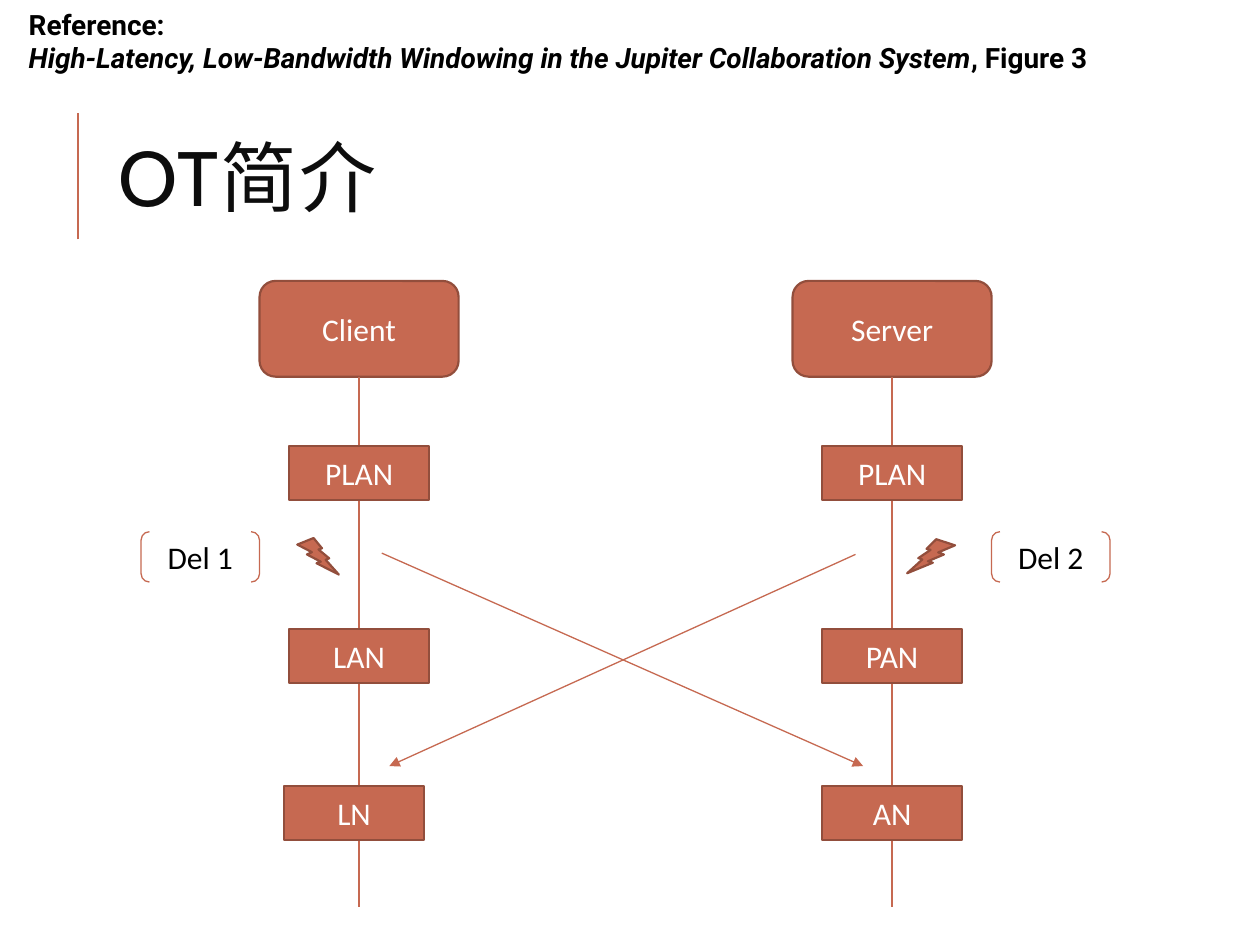
from lxml.etree import SubElement
from pptx import Presentation
from pptx.dml.color import RGBColor
from pptx.enum.shapes import MSO_CONNECTOR, MSO_SHAPE
from pptx.enum.text import MSO_ANCHOR, PP_ALIGN
from pptx.oxml.ns import qn
from pptx.util import Inches, Pt

COLORS = {"accent": "C66951", "edge": "924E3C", "white": "FFFFFF",
          "black": "000000", "title": "0D0D0D"}
LABEL = {"name": "Calibri", "size": Pt(18)}
REFERENCE = {"name": "Roboto", "size": Pt(16), "bold": True}
TITLE = {"name": "Cabin", "size": Pt(44)}

STEP_TOPS = (3.54, 4.99, 6.24)
STEP_WIDTH, STEP_HEIGHT = 1.11, 0.43
HEADER_HEIGHT = 0.76
LIFELINE_END = 7.2


def color(name):
    return RGBColor.from_string(COLORS[name])


def format_font(font, values, color_name):
    for key, value in values.items():
        setattr(font, key, value)
    font.color.rgb = color(color_name)


def add_line(page, start, end, width=0.75, arrow=False):
    points = [Inches(value) for value in (*start, *end)]
    line = page.shapes.add_connector(MSO_CONNECTOR.STRAIGHT, *points)
    line.line.color.rgb = color("accent")
    line.line.width = Pt(width)
    if arrow:
        SubElement(line.line._get_or_add_ln(), qn("a:tailEnd"), type="triangle")
    SubElement(line._element.spPr, qn("a:effectLst"))


def add_figure(page, kind, box, text="", filled=True):
    shape = page.shapes.add_shape(kind, *[Inches(value) for value in box])
    shape.shadow.inherit = False
    if filled:
        shape.fill.solid()
        shape.fill.fore_color.rgb = color("accent")
    else:
        shape.fill.background()
    shape.line.color.rgb = color("edge" if filled else "accent")
    shape.line.width = Pt(1.25 if filled else 0.75)
    if text:
        frame = shape.text_frame
        frame.vertical_anchor = MSO_ANCHOR.MIDDLE
        para = frame.paragraphs[0]
        para.alignment = PP_ALIGN.CENTER
        span = para.add_run()
        span.text = text
        format_font(span.font, LABEL, "white" if filled else "black")
    return shape


def add_title(page, box):
    title = page.shapes.title
    title.left, title.top, title.width, title.height = map(Inches, box)
    title.text_frame.vertical_anchor = MSO_ANCHOR.MIDDLE
    para = title.text_frame.paragraphs[0]
    para.alignment = PP_ALIGN.LEFT
    para.line_spacing = 0.8
    span = para.add_run()
    span.text = "OT简介"
    format_font(span.font, TITLE, "title")
    span.font._element.set("spc", "100")


def add_reference(page, box):
    frame = page.shapes.add_textbox(*map(Inches, box)).text_frame
    frame.word_wrap = True
    lines = (
        [("Reference:", False)],
        [("High-Latency, Low-Bandwidth Windowing in the Jupiter Collaboration System", True),
         (", Figure 3", False)],
    )
    for index, spans in enumerate(lines):
        para = frame.add_paragraph() if index else frame.paragraphs[0]
        for text, italic in spans:
            span = para.add_run()
            span.text = text
            format_font(span.font, REFERENCE | {"italic": italic}, "black")


def add_lane(page, box, name, steps, last_shift=0):
    left, top, width, height = box
    center = left + width / 2
    header_bottom = top + HEADER_HEIGHT
    add_figure(page, MSO_SHAPE.ROUNDED_RECTANGLE, (left, top, width, HEADER_HEIGHT), name)
    add_line(page, (center, header_bottom), (center, top + height))
    shifts = (0, 0, last_shift)
    for text, step_top, shift in zip(steps, STEP_TOPS, shifts):
        step_left = center - STEP_WIDTH / 2 + shift
        add_figure(page, MSO_SHAPE.RECTANGLE,
                   (step_left, step_top, STEP_WIDTH, STEP_HEIGHT), text)


def add_operation(page, label_box, bolt_box, text, flipped=False):
    bolt = add_figure(page, MSO_SHAPE.LIGHTNING_BOLT, bolt_box)
    if flipped:
        bolt._element.spPr.find(qn("a:xfrm")).set("flipH", "1")
    add_figure(page, MSO_SHAPE.DOUBLE_BRACKET, label_box, text, filled=False)


def main():
    deck = Presentation()
    deck.slide_width, deck.slide_height = Inches(10), Inches(7.5)
    page = deck.slides.add_slide(deck.slide_layouts[5])

    add_line(page, (0.62, 1.9), (0.62, 0.9), width=1.5)
    add_title(page, (0.84, 0.64, 7.97, 1.64))
    lane_top = 2.23
    lane_height = LIFELINE_END - lane_top
    add_lane(page, (2.06, lane_top, 1.58, lane_height), "Client",
             ("PLAN", "LAN", "LN"), last_shift=-0.04)
    add_lane(page, (6.29, lane_top, 1.58, lane_height), "Server",
             ("PLAN", "PAN", "AN"))
    add_operation(page, (1.12, 4.22, 0.94, 0.4), (2.36, 4.27, 0.33, 0.29), "Del 1")
    add_operation(page, (7.87, 4.22, 0.94, 0.4), (7.2, 4.28, 0.38, 0.27), "Del 2",
                  flipped=True)
    add_line(page, (3.03, 4.39), (6.85, 6.08), arrow=True)
    add_line(page, (6.79, 4.4), (3.09, 6.08), arrow=True)
    add_reference(page, (0.13, 0.01, 9.67, 0.64))
    deck.save("out.pptx")


if __name__ == "__main__":
    main()
